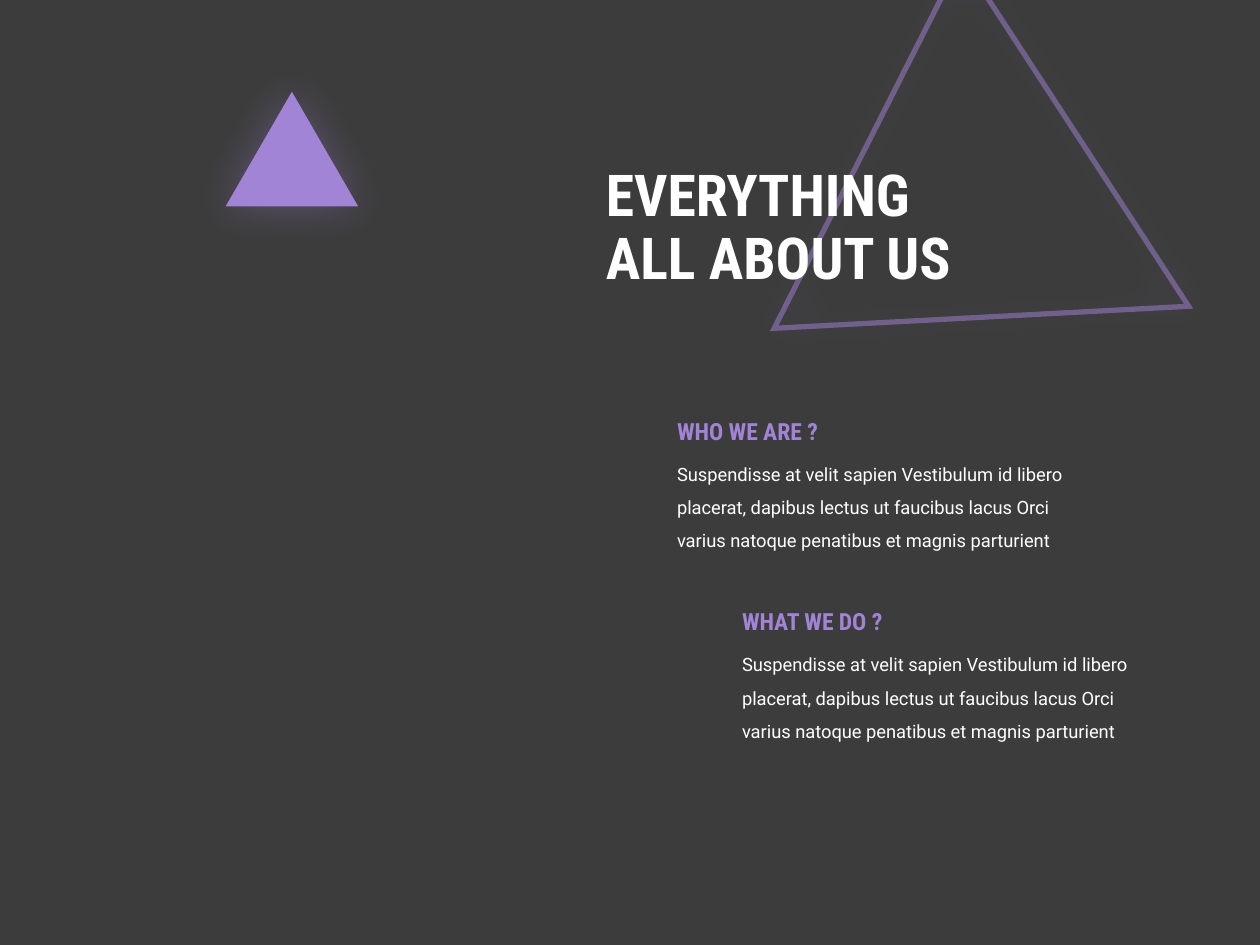
"""Build the dark "Everything all about us" slide with glowing triangles."""
from lxml import etree
from pptx import Presentation
from pptx.dml.color import RGBColor
from pptx.enum.shapes import MSO_SHAPE
from pptx.enum.text import MSO_ANCHOR, MSO_AUTO_SIZE, PP_ALIGN
from pptx.oxml.ns import qn
from pptx.util import Cm, Pt

TRIANGLE = MSO_SHAPE.ISOSCELES_TRIANGLE
LEFT, MIDDLE = PP_ALIGN.LEFT, MSO_ANCHOR.MIDDLE
NO_FIT, GROW = MSO_AUTO_SIZE.NONE, MSO_AUTO_SIZE.SHAPE_TO_FIT_TEXT

COLOURS = {"background": "3C3C3C", "accent": "A284D7", "text": "FFFFFF"}
HEADING_FONT, BODY_FONT = "Roboto Condensed", "Roboto"

TITLE_LINES = ["EVERYTHING", "ALL ABOUT US"]
DESCRIPTION = (
    "Suspendisse at velit sapien Vestibulum id libero placerat, dapibus lectus "
    "ut faucibus lacus Orci varius natoque penatibus et magnis parturient"
)
SECTIONS = [
    ("WHO WE ARE ?", DESCRIPTION),
    ("WHAT WE DO ?", DESCRIPTION),
]

TITLE_BOX = (11.96, 2.62, 10.72, 4.01)
OUTLINE_BOX = (14.45, 1.02, 8.38, 7.24)
SOLID_BOX = (4.55, 1.85, 2.67, 2.31)
SECTION_LEFT, SECTION_TOP = 13.4, 8.28
SECTION_STEP_X, SECTION_STEP_Y = 1.31, 3.84
HEADING_SIZE, BODY_SIZE = (4.67, 0.84), (8.59, 2.21)
BODY_DROP = 0.71


def colour(name):
    return RGBColor.from_string(COLOURS[name])


def lengths(box):
    return [Cm(value) for value in box]


def add_alpha(colour_element, percent):
    etree.SubElement(colour_element, qn("a:alpha"), val=str(percent * 1000))


def add_glowing_triangle(slide, box):
    shape = slide.shapes.add_shape(TRIANGLE, *lengths(box))
    shape.shadow.inherit = False
    effects = shape._element.spPr.find(qn("a:effectLst"))
    shadow = etree.SubElement(
        effects, qn("a:outerShdw"), blurRad=str(Pt(25)), dist="0", dir="0",
        algn="ctr", rotWithShape="0",
    )
    shadow_colour = etree.SubElement(shadow, qn("a:srgbClr"), val=COLOURS["accent"])
    add_alpha(shadow_colour, 35)
    return shape


def add_outline_triangle(slide):
    shape = add_glowing_triangle(slide, OUTLINE_BOX)
    shape.rotation = 236.9
    shape.fill.background()
    shape.line.width = Pt(3)
    shape.line.color.rgb = colour("accent")
    line = shape._element.spPr.find(qn("a:ln"))
    add_alpha(line.find(qn("a:solidFill")).find(qn("a:srgbClr")), 50)
    etree.SubElement(line, qn("a:miter"), lim="800000")
    slide.shapes._spTree.insert(2, shape._element)


def add_solid_triangle(slide):
    shape = add_glowing_triangle(slide, SOLID_BOX)
    shape.fill.solid()
    shape.fill.fore_color.rgb = colour("accent")
    shape.line.fill.background()


def add_run(paragraph, text, font_name, size, colour_name, bold):
    run = paragraph.add_run()
    run.text = text
    run.font.name = font_name
    run.font.size = Pt(size)
    run.font.bold = bold
    run.font.color.rgb = colour(colour_name)


def fill_title(title):
    title.left, title.top, title.width, title.height = lengths(TITLE_BOX)
    frame = title.text_frame
    frame.auto_size = NO_FIT
    frame.vertical_anchor = MIDDLE
    paragraph = frame.paragraphs[0]
    paragraph.alignment = LEFT
    paragraph.line_spacing = 0.9
    paragraph.space_before = Pt(0)
    for index, text in enumerate(TITLE_LINES):
        if index:
            paragraph.add_line_break()
        add_run(paragraph, text, HEADING_FONT, 33, "text", True)


def add_text(slide, box, spacing, *run_format):
    frame = slide.shapes.add_textbox(*lengths(box)).text_frame
    frame.word_wrap = True
    frame.auto_size = GROW
    paragraph = frame.paragraphs[0]
    paragraph.line_spacing = spacing
    add_run(paragraph, *run_format)


def add_sections(slide):
    for index, (heading, body) in enumerate(SECTIONS):
        left = SECTION_LEFT + index * SECTION_STEP_X
        top = SECTION_TOP + index * SECTION_STEP_Y
        add_text(slide, (left, top + BODY_DROP, *BODY_SIZE), 1.5,
                 body, BODY_FONT, 10.5, "text", False)
        add_text(slide, (left, top, *HEADING_SIZE), 1.0,
                 heading, HEADING_FONT, 13.5, "accent", True)


def main():
    presentation = Presentation()
    presentation.slide_width, presentation.slide_height = Cm(25.4), Cm(19.05)
    slide = presentation.slides.add_slide(presentation.slide_layouts[0])
    slide.background.fill.solid()
    slide.background.fill.fore_color.rgb = colour("background")
    subtitle = slide.placeholders[1]._element
    subtitle.getparent().remove(subtitle)
    fill_title(slide.shapes.title)
    add_outline_triangle(slide)
    add_solid_triangle(slide)
    add_sections(slide)
    presentation.save("out.pptx")


if __name__ == "__main__":
    main()
